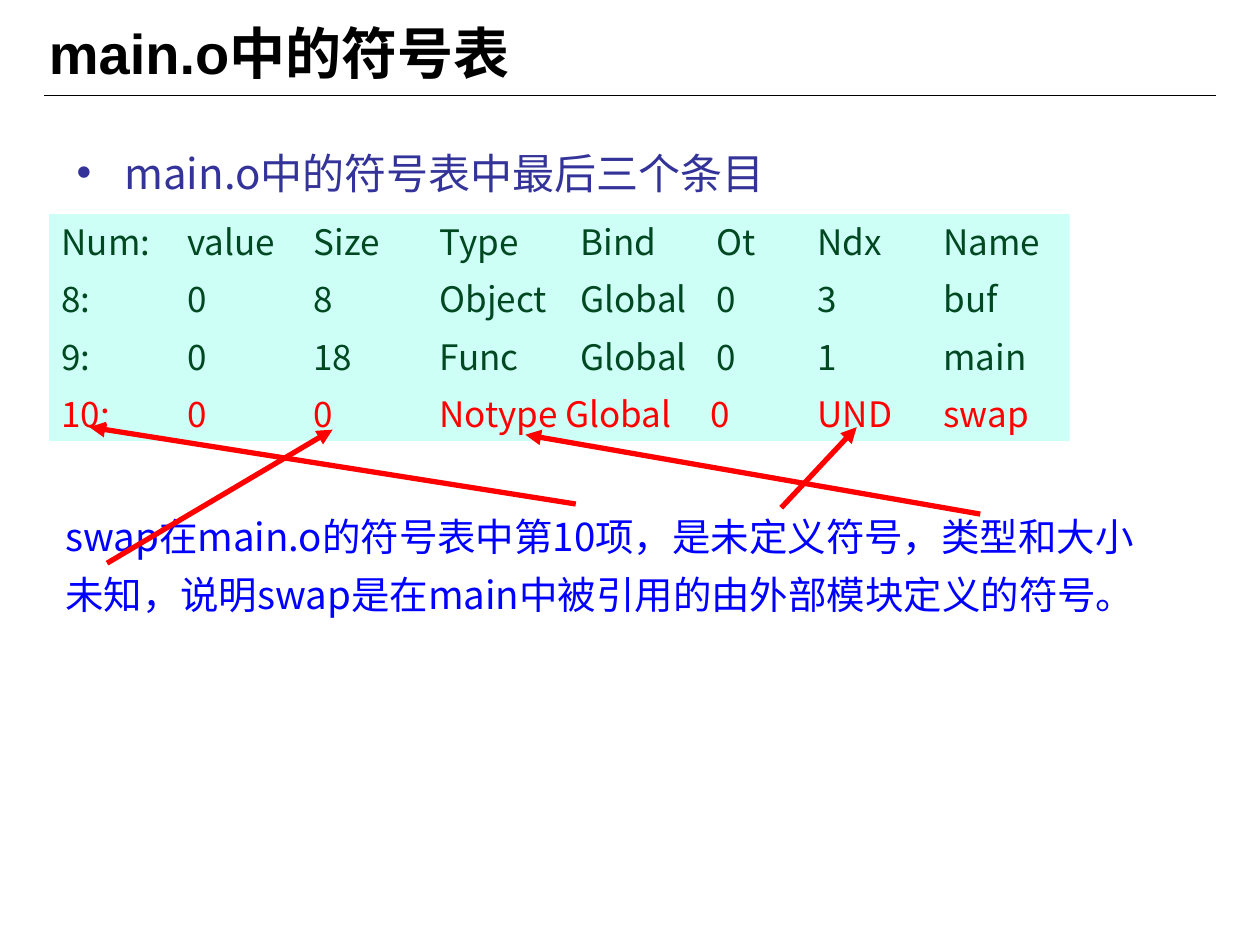
from lxml.etree import SubElement
from pptx import Presentation
from pptx.dml.color import RGBColor
from pptx.enum.shapes import MSO_CONNECTOR, MSO_SHAPE
from pptx.enum.text import MSO_ANCHOR, MSO_AUTO_SIZE, PP_ALIGN
from pptx.oxml.ns import qn
from pptx.util import Cm, Pt

COLORS = {"black": "000000", "indigo": "333399", "mint": "CDFFF7",
          "green": "004821", "red": "FF0000", "blue": "0000FF"}
CJK = "Noto Sans CJK SC"


def inch(value):
    return Cm(value * 2.54)


def rgb(name):
    return RGBColor.from_string(COLORS[name])


def add_text(p, text, size=20, color="black", font=CJK, bold=False,
             before=0, spacing=None, bullet=None, indent=0, tabs=()):
    p.alignment = PP_ALIGN.LEFT
    p.space_before = Pt(before)
    if spacing:
        p.line_spacing = spacing
    pPr = p._p.get_or_add_pPr()
    if bullet:
        pPr.set("marL", str(inch(indent)))
        pPr.set("indent", str(-inch(indent)))
        SubElement(pPr, qn("a:buFont"), typeface="Arial")
        SubElement(pPr, qn("a:buChar"), char=bullet)
    if tabs:
        tabLst = SubElement(pPr, qn("a:tabLst"))
        for pos in tabs:
            SubElement(tabLst, qn("a:tab"), pos=str(inch(pos)), algn="l")
    r = p.add_run()
    r.text = text
    r.font.size, r.font.bold, r.font.name = Pt(size), bold, font
    r.font.color.rgb = rgb(color)
    SubElement(r._r.get_or_add_rPr(), qn("a:ea"), typeface=CJK)


class SlideBuilder:
    def __init__(self, slide):
        self.shapes = slide.shapes

    def frame(self, sp, anchor=MSO_ANCHOR.TOP, grow=False):
        tf = sp.text_frame
        tf.word_wrap = True
        tf.vertical_anchor = anchor
        tf.auto_size = MSO_AUTO_SIZE.SHAPE_TO_FIT_TEXT if grow else MSO_AUTO_SIZE.NONE
        return tf

    def text(self, box, text, anchor=MSO_ANCHOR.TOP, grow=False, **style):
        sp = self.shapes.add_textbox(*map(inch, box))
        add_text(self.frame(sp, anchor, grow).paragraphs[0], text, **style)

    def panel(self, box, fill, rows):
        sp = self.shapes.add_shape(MSO_SHAPE.RECTANGLE, *map(inch, box))
        sp.shadow.inherit = False
        sp.fill.solid()
        sp.fill.fore_color.rgb = rgb(fill)
        sp.line.fill.background()
        tf = self.frame(sp, grow=True)
        for i, (cells, color, tabs) in enumerate(rows):
            p = tf.add_paragraph() if i else tf.paragraphs[0]
            add_text(p, "\t".join(cells), color=color, before=8.8, tabs=tabs)

    def line(self, start, end, color, width, arrow=False):
        sp = self.shapes.add_connector(MSO_CONNECTOR.STRAIGHT, *map(inch, start + end))
        sp.line.color.rgb = rgb(color)
        sp.line.width = Pt(width)
        if arrow:
            SubElement(sp.line._get_or_add_ln(), qn("a:tailEnd"), type="triangle")
        SubElement(sp._element.spPr, qn("a:effectLst"))


prs = Presentation()
prs.slide_width, prs.slide_height = inch(10), inch(7.5)
s = SlideBuilder(prs.slides.add_slide(prs.slide_layouts[6]))

# Title and rule
s.line((0.35, 0.76), (9.65, 0.76), "black", 0.74)
s.text((0.29, 0.11, 9, 0.61), "main.o中的符号表", anchor=MSO_ANCHOR.MIDDLE,
       size=32, font="Arial", bold=True)

# Lead bullet
s.text((0.51, 1.1, 9, 0.52), "main.o中的符号表中最后三个条目", size=24,
       color="indigo", before=6, spacing=1.05, bullet="•", indent=0.38)

# Symbol table listing, aligned on tab stops
stops = (1, 2, 3, 4.12, 5.2, 6, 7)
swap_stops = (1, 2, 3, 4, 5.15, 6, 7)
s.panel((0.39, 1.7, 8.1, 1.8), "mint", [
    (("Num:", "value", "Size", "Type", "Bind", "Ot", "Ndx", "Name"), "green", stops),
    (("8:", "0", "8", "Object", "Global", "0", "3", "buf"), "green", stops),
    (("9:", "0", "18", "Func", "Global", "0", "1", "main"), "green", stops),
    (("10:", "0", "0", "Notype", "Global", "0", "UND", "swap"), "red", swap_stops),
])

# Explanation
s.text((0.42, 3.93, 8.73, 1.48),
       "swap在main.o的符号表中第10项，是未定义符号，类型和大小未知，"
       "说明swap是在main中被引用的由外部模块定义的符号。",
       grow=True, size=22, color="blue", before=6.9, spacing=1.25)

# Arrows from the explanation to the table entries
for start, end in (((4.57, 4), (0.71, 3.39)), ((6.2, 4.03), (6.8, 3.39)),
                   ((7.78, 4.08), (4.17, 3.45)), ((0.85, 4.47), (2.64, 3.41))):
    s.line(start, end, "red", 3, arrow=True)

prs.save("out.pptx")
